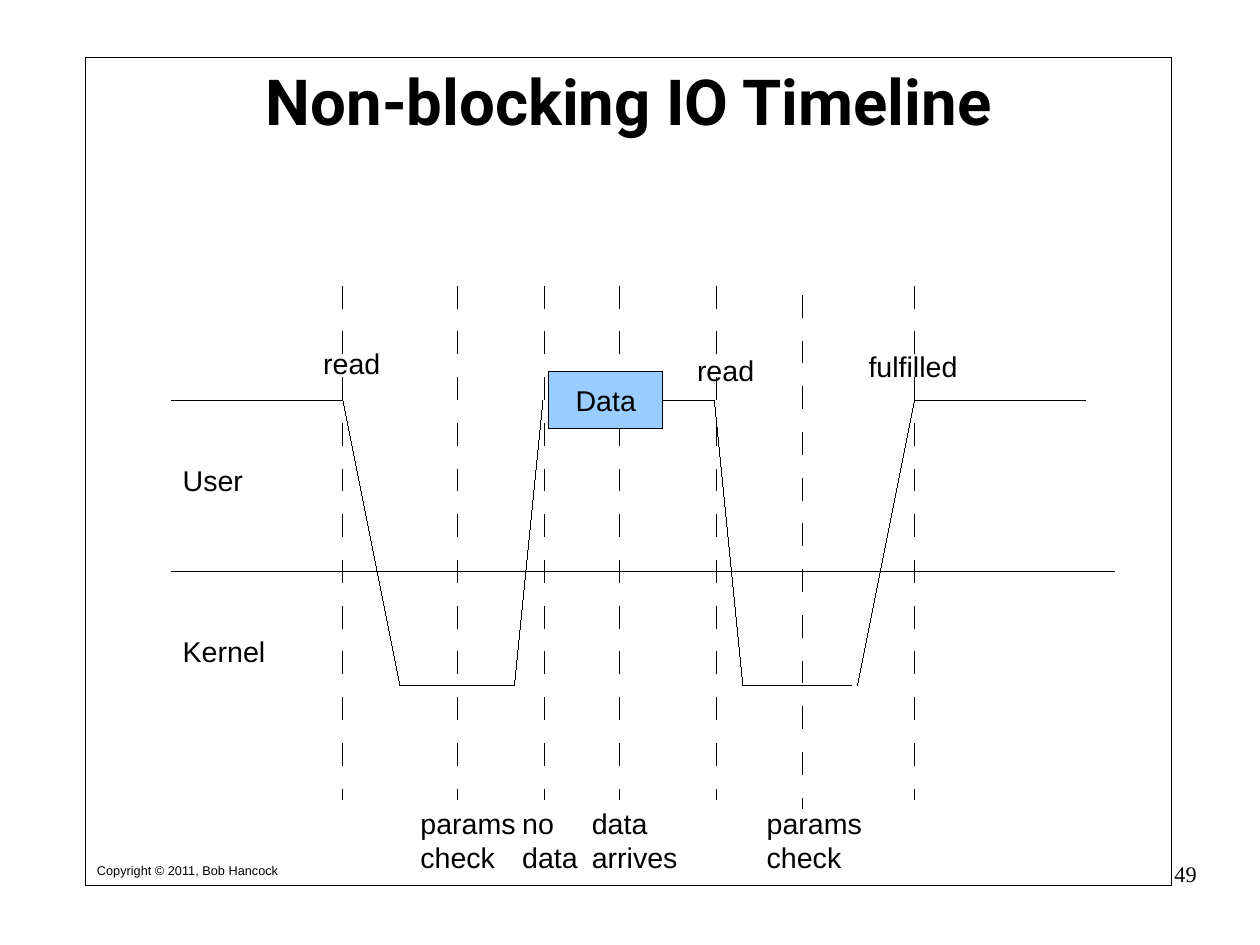
from itertools import pairwise

from lxml.etree import SubElement
from pptx import Presentation
from pptx.dml.color import RGBColor
from pptx.enum.shapes import MSO_CONNECTOR as CONNECTOR, MSO_SHAPE as SHAPE
from pptx.enum.text import MSO_ANCHOR as ANCHOR, MSO_AUTO_SIZE as AUTO_SIZE, PP_ALIGN as ALIGN
from pptx.oxml.ns import qn
from pptx.util import Inches, Pt

COLORS = {"ink": "000000", "data": "99CCFF"}
MARGINS = ("margin_left", "margin_top", "margin_right", "margin_bottom")
CM_PER_INCH = 2.54
HAIRLINE = Pt(0.01)
RIGHT_SIDE = 3


def color(name):
    return RGBColor.from_string(COLORS[name])


def write(shape, text, size=18, font="Arial", bold=False, align=ALIGN.LEFT,
          anchor=ANCHOR.TOP, margins=(0.1, 0.05), wrap=True):
    frame = shape.text_frame
    horizontal, vertical = margins
    for name, value in zip(MARGINS, (horizontal, vertical) * 2):
        setattr(frame, name, Inches(value))
    frame.auto_size = AUTO_SIZE.NONE
    frame.word_wrap = wrap
    frame.vertical_anchor = anchor
    paragraph = frame.paragraphs[0]
    paragraph.alignment = align
    run = paragraph.add_run()
    run.text = text
    for name, value in {"size": Pt(size), "name": font, "bold": bold}.items():
        setattr(run.font, name, value)
    run.font.color.rgb = color("ink")


def add_text(slide, box, text, **format_values):
    shape = slide.shapes.add_textbox(*map(Inches, box))
    write(shape, text, **format_values)


def add_box(slide, box, fill=None):
    shape = slide.shapes.add_shape(SHAPE.RECTANGLE, *map(Inches, box))
    shape.shadow.inherit = False
    if fill:
        shape.fill.solid()
        shape.fill.fore_color.rgb = color(fill)
    else:
        shape.fill.background()
    shape.line.color.rgb = color("ink")
    shape.line.width = HAIRLINE
    return shape


def add_line(slide, start, end, dashed=False):
    line = slide.shapes.add_connector(CONNECTOR.STRAIGHT, *map(Inches, (*start, *end)))
    line.line.color.rgb = color("ink")
    line.line.width = Pt(0.5) if dashed else HAIRLINE
    properties = line._element.spPr
    if dashed:
        # Dash and gap of 0.2 inch, in thousandths of a percent of the line width
        dashes = SubElement(properties.find(qn("a:ln")), qn("a:custDash"))
        SubElement(dashes, qn("a:ds"), d="2822000", sp="2822000")
    SubElement(properties, qn("a:effectLst"))
    return line


def build_page(slide, box):
    """Draw the frame, the title at its top and the footer at its bottom."""
    left, top, width, height = box
    add_box(slide, box)
    title = slide.shapes.title
    for name, value in zip(("left", "top", "width", "height"), (left, top, width, 0.76)):
        setattr(title, name, Inches(value))
    write(title, "Non-blocking IO Timeline", size=40, font="Roboto", bold=True,
          align=ALIGN.CENTER, anchor=ANCHOR.MIDDLE, margins=(0, 0))
    bottom = top + height
    add_text(slide, (left, bottom - 0.25, 1.79, 0.22), "Copyright © 2011, Bob Hancock",
             size=8, wrap=False)
    add_text(slide, (left + width - 2.35, bottom - 0.22, 2.57, 0.57), "49", size=14,
             font="Times New Roman", align=ALIGN.RIGHT, margins=(0, 0))


def build_timeline(slide, box):
    """Draw the user and kernel levels, the path between them and the event marks."""
    left, top, width, height = box
    user, border, kernel, bottom = top + 1, top + 2.5, top + 3.5, top + height

    paths = (
        ((0, user), (1.5, user), (2, kernel), (3, kernel), (3.25, user)),
        ((4.75, user), (5, kernel), (5.95, kernel)),
        ((6, kernel), (6.5, user), (8, user)),
        ((0, border), (width, border)),
    )
    for path in paths:
        for (start_x, start_y), (end_x, end_y) in pairwise(path):
            add_line(slide, (left + start_x, start_y), (left + end_x, end_y))

    for x, drop in ((1.5, 0), (2.5, 0), (3.26, 0), (3.92, 0), (4.77, 0), (5.52, 0.08), (6.5, 0)):
        add_line(slide, (left + x, top + drop), (left + x, bottom + drop), dashed=True)

    data = add_box(slide, (left + 3.3, user - 0.25, 1, 0.5), fill="data")
    write(data, "Data", align=ALIGN.CENTER, anchor=ANCHOR.MIDDLE)
    data_to_read = add_line(slide, (left + 4.3, user), (left + 4.75, user))
    data_to_read.begin_connect(data, RIGHT_SIDE)

    for text, x, y, label_width in (
        ("User", 0, user + 0.5, 0.73),
        ("Kernel", 0, border + 0.5, 0.92),
        ("read", 1.23, user - 0.52, 0.7),
        ("read", 4.5, user - 0.46, 0.7),
        ("fulfilled", 6, user - 0.5, 0.98),
    ):
        add_text(slide, (left + x, y, label_width, 0.38), text, wrap=False)

    for text, x, label_width in (
        ("params check", 2.08, 1.04),
        ("no data", 2.97, 0.85),
        ("data arrives", 3.58, 1),
        ("params check", 5.11, 1.04),
    ):
        add_text(slide, (left + x, bottom, label_width, 0.66), text)


def main():
    presentation = Presentation()
    presentation.slide_width = Inches(28 / CM_PER_INCH)
    presentation.slide_height = Inches(21 / CM_PER_INCH)
    slide = presentation.slides.add_slide(presentation.slide_layouts[5])
    build_page(slide, (0.75, 0.5, 9.5, 7.25))
    build_timeline(slide, (1.5, 2.5, 8.25, 4.5))
    presentation.save("out.pptx")


if __name__ == "__main__":
    main()
